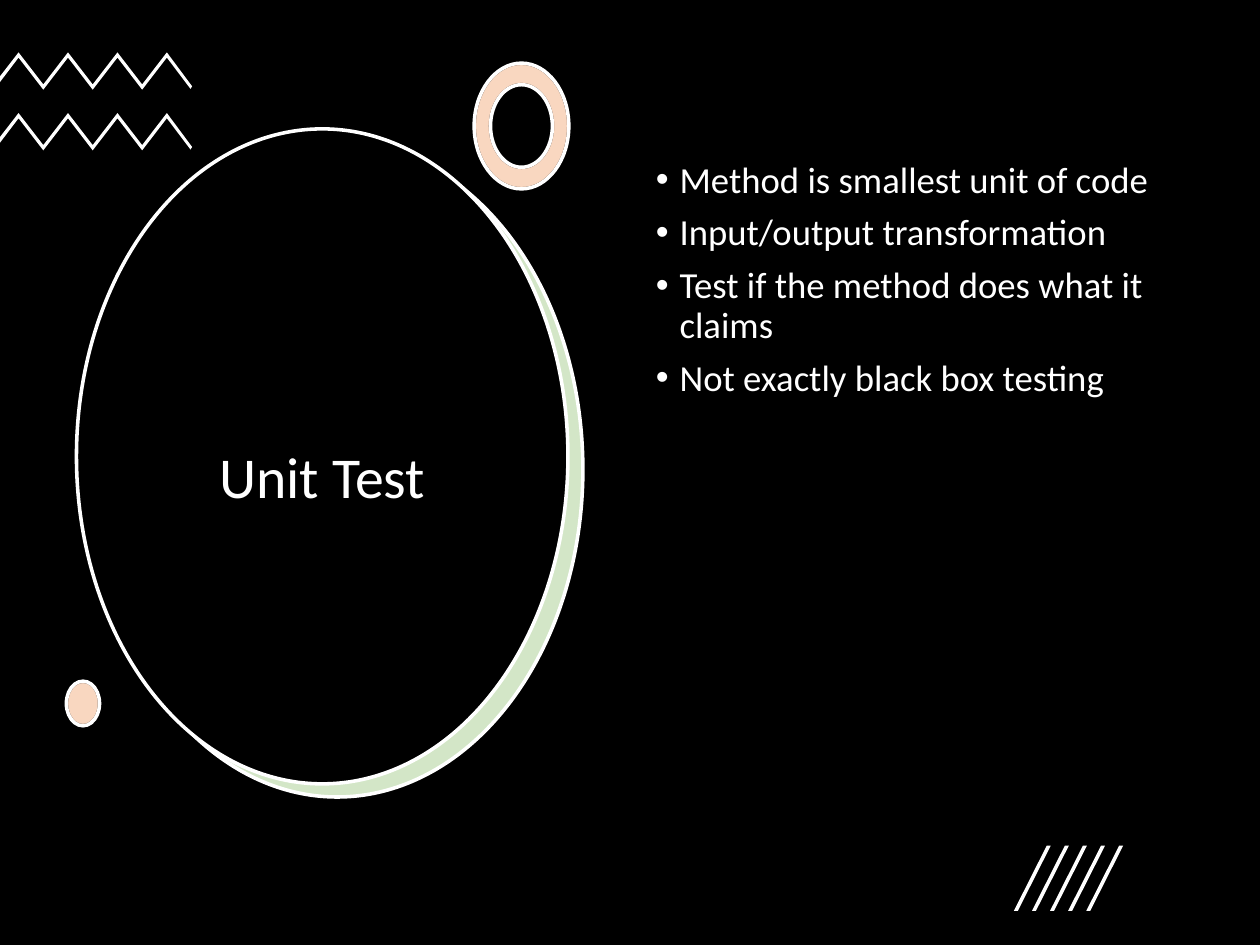
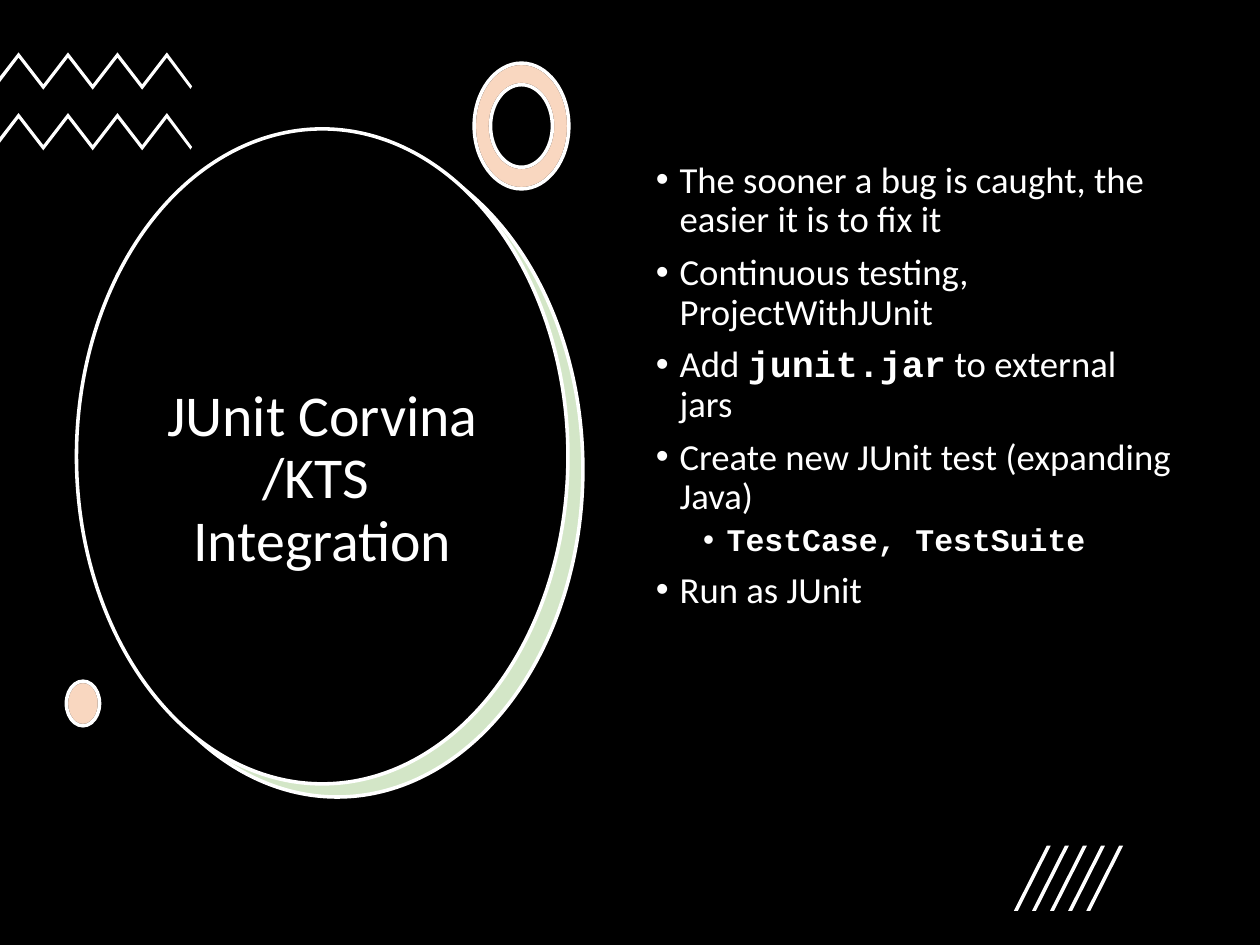
"""Build two dark JUnit slides with a shared decorated title disc."""
from dataclasses import dataclass
from typing import Optional

from lxml import etree
from pptx import Presentation
from pptx import util as u
from pptx.dml.color import RGBColor
from pptx.enum import shapes, text
from pptx.oxml.ns import qn

COLORS = {"night": "000000", "chalk": "FFFFFF", "leaf": "70AD47", "peach": "ED7D31"}
BODY_FONT, CODE_FONT = "Calibri", "Courier New"
OUTLINE = 2.25
TITLE_SIZE = 36.4
BULLET_SIZES = (23.1, 19.8)
BULLET_GAPS = (8.3, 4.1)
BULLET_INDENTS = (14.9, 44.6)
HANGING = 14.9
SLIDE_WIDTH, SLIDE_HEIGHT = 793.7, 595.3
BEZIER_RATIO = 0.55


@dataclass(frozen=True)
class Box:
    left: float
    top: float
    width: float
    height: float

    def lengths(self) -> tuple:
        return tuple(u.Pt(n) for n in (self.left, self.top, self.width, self.height))


@dataclass(frozen=True)
class Paint:
    fill: str
    line: Optional[str] = None
    opacity: int = 100


@dataclass(frozen=True)
class Panel:
    box: Box
    paint: Paint
    outline: shapes.MSO_SHAPE = shapes.MSO_SHAPE.OVAL


@dataclass(frozen=True)
class Words:
    wording: str
    code: bool = False


@dataclass(frozen=True)
class Point:
    words: tuple
    level: int = 0


@dataclass(frozen=True)
class Topic:
    title: str
    points: tuple


CHALK = Paint("chalk")
BACKING = Paint("chalk", "night")
PEACH = Paint("peach", "chalk", 30)
TITLE_BOX = Box(72, 162.7, 262.1, 279.4)
POINTS_BOX = Box(406.1, 98.2, 339.8, 378)
DOT_BOX = Box(41.8, 429.1, 20.9, 28.1)
TITLE_PANELS = (
    Panel(Box(0, 0, SLIDE_WIDTH, SLIDE_HEIGHT), Paint("night"), shapes.MSO_SHAPE.RECTANGLE),
    Panel(Box(57.6, 89.7, 309.6, 412.6), CHALK),
    Panel(Box(57.6, 89.5, 309.6, 412.6), Paint("leaf", "chalk", 30)),
    Panel(Box(48.2, 81.2, 309.6, 412.6), Paint("night", "chalk")),
)
DOT_PANELS = (Panel(DOT_BOX, BACKING), Panel(DOT_BOX, PEACH))
TOPICS = (
    Topic("Unit Test", (
        Point((Words("Method is smallest unit of code"),)),
        Point((Words("Input/output transformation"),)),
        Point((Words("Test if the method does what it claims"),)),
        Point((Words("Not exactly black box testing"),)),
    )),
    Topic("JUnit Corvina /KTS \nIntegration", (
        Point((Words("The sooner a bug is caught, the easier it is to fix it"),)),
        Point((Words("Continuous testing, ProjectWithJUnit"),)),
        Point((Words("Add "), Words("junit.jar", code=True), Words(" to external jars"))),
        Point((Words("Create new JUnit test (expanding Java)"),)),
        Point((Words("TestCase, TestSuite", code=True),), level=1),
        Point((Words("Run as JUnit"),)),
    )),
)


def rgb(name: str) -> RGBColor:
    return RGBColor.from_string(COLORS[name])


def apply_paint(shape, paint: Paint) -> None:
    shape.shadow.inherit = False
    shape.fill.solid()
    shape.fill.fore_color.rgb = rgb(paint.fill)
    if paint.opacity < 100:
        tint = shape.element.spPr.find(qn("a:solidFill"))[0]
        etree.SubElement(tint, qn("a:alpha"), val=str(paint.opacity * 1000))
    if paint.line:
        shape.line.color.rgb = rgb(paint.line)
        shape.line.width = u.Pt(OUTLINE)
    else:
        shape.line.fill.background()


def add_panels(slide, panels: tuple) -> None:
    for panel in panels:
        shape = slide.shapes.add_shape(panel.outline, *panel.box.lengths())
        apply_paint(shape, panel.paint)


def add_outline(parent, contours: list, paint: Paint, curved: bool = False) -> None:
    contours = [[(u.Pt(x), u.Pt(y)) for x, y in contour] for contour in contours]
    builder = parent.shapes.build_freeform(*contours[0][0], scale=1.0)
    for number, (start, *rest) in enumerate(contours):
        if number:
            builder.move_to(*start)
        builder.add_line_segments(rest, close=True)
    shape = builder.convert_to_shape()
    if curved:
        bend_segments(shape)
    apply_paint(shape, paint)


def bend_segments(shape) -> None:
    segments = list(shape.element.spPr.iter(qn("a:lnTo")))
    for first in range(0, len(segments), 3):
        curve = etree.Element(qn("a:cubicBezTo"))
        segments[first].addprevious(curve)
        for segment in segments[first:first + 3]:
            curve.append(segment[0])
            segment.getparent().remove(segment)


def oval_contour(x: float, y: float, radius_x: float, radius_y: float) -> list:
    k = BEZIER_RATIO
    steps = [(0, -1), (-k, -1), (-1, -k), (-1, 0), (-1, k), (-k, 1), (0, 1),
             (k, 1), (1, k), (1, 0), (1, -k), (k, -1), (0, -1)]
    return [(x + radius_x * across, y + radius_y * down) for across, down in steps]


def add_zigzag(parent, top: float) -> None:
    crest = [(11.7 + 15.57 * i, top + 20.2 * (i % 2)) for i in range(7)]
    trough = [(x, y + 3.3) for x, y in reversed(crest)]
    tip = [(121, top + 21.4), (120, top + 23)]
    edge = [(0, top + 18.7), (0, top + 15.1)]
    add_outline(parent, [crest + tip + trough + edge], CHALK)


def add_slash(parent, left: float) -> None:
    top, bottom, lean, thickness = 532.8, 573.8, 20.7, 2.5
    corners = [(left + thickness, bottom), (left, bottom),
               (left + lean, top), (left + lean + thickness, top)]
    add_outline(parent, [corners], CHALK)


def add_text(slide, box: Box, points: tuple, *, sizes: tuple, bulleted: bool = False,
             align=text.PP_ALIGN.LEFT, anchor=text.MSO_ANCHOR.TOP) -> None:
    frame = slide.shapes.add_textbox(*box.lengths()).text_frame
    frame.word_wrap = True
    frame.vertical_anchor = anchor
    for number, point in enumerate(points):
        paragraph = frame.add_paragraph() if number else frame.paragraphs[0]
        paragraph.alignment = align
        paragraph.line_spacing = 0.9
        paragraph.level = point.level
        if bulleted:
            add_bullet(paragraph, point.level)
        for words in point.words:
            for row, wording in enumerate(words.wording.split("\n")):
                if row:
                    paragraph.add_line_break()
                run = paragraph.add_run()
                run.text = wording
                run.font.name = CODE_FONT if words.code else BODY_FONT
                run.font.bold = words.code
                run.font.size = u.Pt(sizes[point.level])
                run.font.color.rgb = rgb("chalk")


def add_bullet(paragraph, level: int) -> None:
    paragraph.space_before = u.Pt(BULLET_GAPS[level])
    properties = paragraph._p.get_or_add_pPr()
    properties.set("marL", str(u.Pt(BULLET_INDENTS[level])))
    properties.set("indent", str(-u.Pt(HANGING)))
    etree.SubElement(properties, qn("a:buFont"), typeface="Arial")
    etree.SubElement(properties, qn("a:buChar"), char="•")


def add_decor(slide) -> None:
    zigzags = slide.shapes.add_group_shape()
    for top in (33, 71.2):
        add_zigzag(zigzags, top)
    ring = [oval_contour(328.5, 79.4, 29.8, 39.6), oval_contour(328.5, 79.4, 19.5, 26)]
    for paint in (BACKING, PEACH):
        add_outline(slide, ring, paint, curved=True)
    add_panels(slide, DOT_PANELS)
    slashes = slide.shapes.add_group_shape()
    for number in range(5):
        add_slash(slashes, 638.7 + 11.4 * number)


def add_topic(deck, topic: Topic) -> None:
    slide = deck.slides.add_slide(deck.slide_layouts[6])
    add_panels(slide, TITLE_PANELS)
    add_text(slide, TITLE_BOX, (Point((Words(topic.title),)),), sizes=(TITLE_SIZE,),
             align=text.PP_ALIGN.CENTER, anchor=text.MSO_ANCHOR.MIDDLE)
    add_text(slide, POINTS_BOX, topic.points, sizes=BULLET_SIZES, bulleted=True)
    add_decor(slide)


def main() -> None:
    deck = Presentation()
    deck.slide_width, deck.slide_height = u.Pt(SLIDE_WIDTH), u.Pt(SLIDE_HEIGHT)
    for topic in TOPICS:
        add_topic(deck, topic)
    deck.save("out.pptx")


if __name__ == "__main__":
    main()
